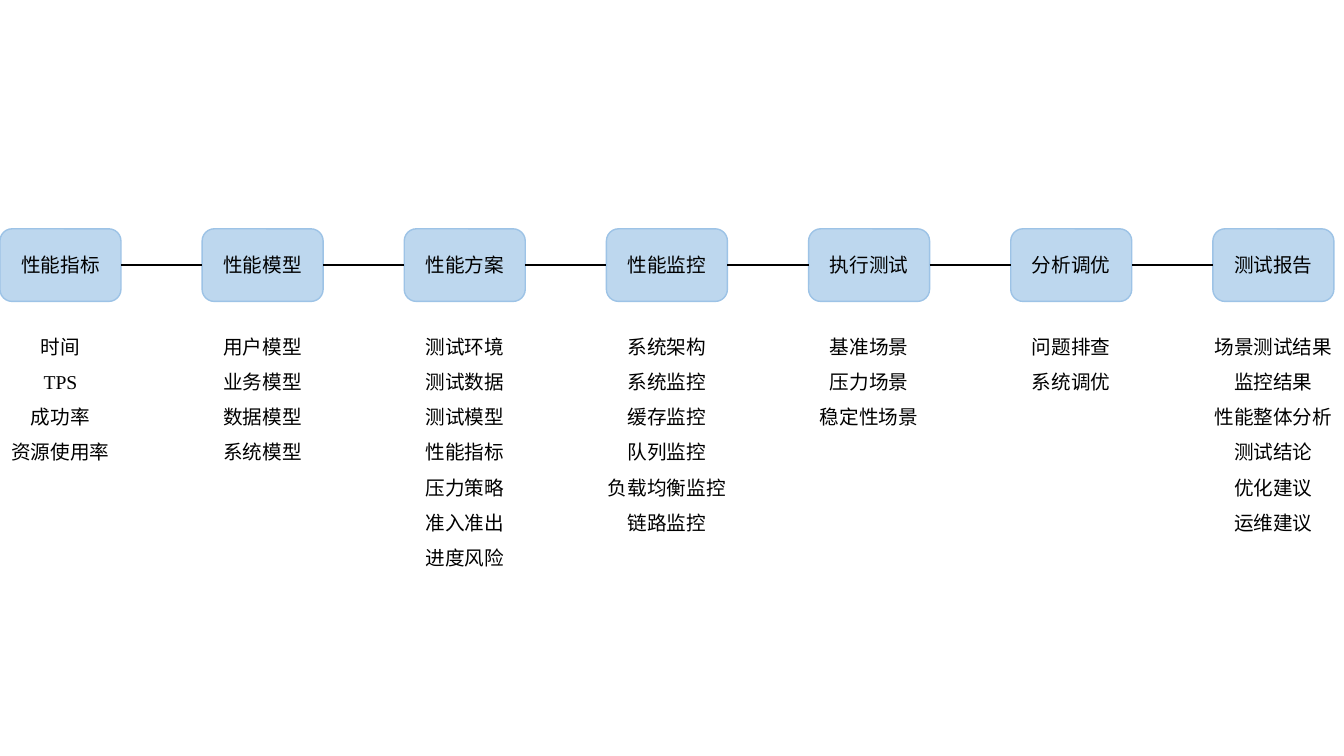
from dataclasses import dataclass
from itertools import pairwise

from lxml.etree import SubElement
from pptx import Presentation
from pptx.dml.color import RGBColor
from pptx.enum.shapes import MSO_CONNECTOR, MSO_SHAPE
from pptx.enum.text import MSO_ANCHOR, PP_ALIGN
from pptx.oxml.ns import qn
from pptx.util import Inches, Pt


@dataclass(frozen=True)
class Theme:
    font: str = "Times New Roman"
    size: Pt = Pt(14)
    line_width: Pt = Pt(1)
    ink: RGBColor = RGBColor(0x00, 0x00, 0x00)
    stage_fill: RGBColor = RGBColor(0xBD, 0xD7, 0xEE)
    stage_line: RGBColor = RGBColor(0x9D, 0xC3, 0xE6)


THEME = Theme()
STAGE_WIDTH, STAGE_HEIGHT = 1.2, 0.72
TOPICS_OFFSET, TOPIC_PITCH, TOPIC_HEIGHT = 1.0, 0.35, 0.34
CHARACTER_WIDTH, TEXT_INSETS = 0.2, 0.2

STAGES = {
    "性能指标": ["时间", "TPS", "成功率", "资源使用率"],
    "性能模型": ["用户模型", "业务模型", "数据模型", "系统模型"],
    "性能方案": ["测试环境", "测试数据", "测试模型", "性能指标", "压力策略",
             "准入准出", "进度风险"],
    "性能监控": ["系统架构", "系统监控", "缓存监控", "队列监控", "负载均衡监控",
             "链路监控"],
    "执行测试": ["基准场景", "压力场景", "稳定性场景"],
    "分析调优": ["问题排查", "系统调优"],
    "测试报告": ["场景测试结果", "监控结果", "性能整体分析", "测试结论", "优化建议",
             "运维建议"],
}


def write_label(frame, wording):
    frame.text = wording
    paragraph = frame.paragraphs[0]
    paragraph.alignment = PP_ALIGN.CENTER
    paragraph.font.name = THEME.font
    paragraph.font.size = THEME.size
    paragraph.font.color.rgb = THEME.ink


def add_stage(slide, name, left, top):
    stage = slide.shapes.add_shape(
        MSO_SHAPE.ROUNDED_RECTANGLE, Inches(left), Inches(top),
        Inches(STAGE_WIDTH), Inches(STAGE_HEIGHT))
    stage.shadow.inherit = False
    stage.fill.solid()
    stage.fill.fore_color.rgb = THEME.stage_fill
    stage.line.color.rgb = THEME.stage_line
    stage.line.width = THEME.line_width
    stage.text_frame.vertical_anchor = MSO_ANCHOR.MIDDLE
    write_label(stage.text_frame, name)
    return stage


def add_topics(slide, topics, center, top):
    """Stack one label per topic, centred under its stage."""
    for row, topic in enumerate(topics):
        width = TEXT_INSETS + CHARACTER_WIDTH * len(topic)
        label = slide.shapes.add_textbox(
            Inches(center - width / 2), Inches(top + row * TOPIC_PITCH),
            Inches(width), Inches(TOPIC_HEIGHT))
        label.text_frame.word_wrap = False
        write_label(label.text_frame, topic)


def link_stages(slide, earlier, later):
    middle = earlier.top + earlier.height // 2
    link = slide.shapes.add_connector(
        MSO_CONNECTOR.STRAIGHT, earlier.left + earlier.width, middle,
        later.left, middle)
    link.begin_connect(earlier, 3)
    link.end_connect(later, 1)
    link.line.color.rgb = THEME.ink
    link.line.width = THEME.line_width
    SubElement(link._element.spPr, qn("a:effectLst"))


def add_process(slide, left, top, width):
    """Spread the stages evenly over the width, with their topics below."""
    pitch = (width - STAGE_WIDTH) / (len(STAGES) - 1)
    stages = []
    for column, (name, topics) in enumerate(STAGES.items()):
        stage_left = left + column * pitch
        stages.append(add_stage(slide, name, stage_left, top))
        add_topics(slide, topics, stage_left + STAGE_WIDTH / 2,
                   top + TOPICS_OFFSET)
    for earlier, later in pairwise(stages):
        link_stages(slide, earlier, later)


def main():
    presentation = Presentation()
    presentation.slide_width = Inches(13.33)
    presentation.slide_height = Inches(7.5)
    slide = presentation.slides.add_slide(presentation.slide_layouts[6])
    add_process(slide, left=0, top=2.27, width=13.23)
    presentation.save("out.pptx")


if __name__ == "__main__":
    main()
